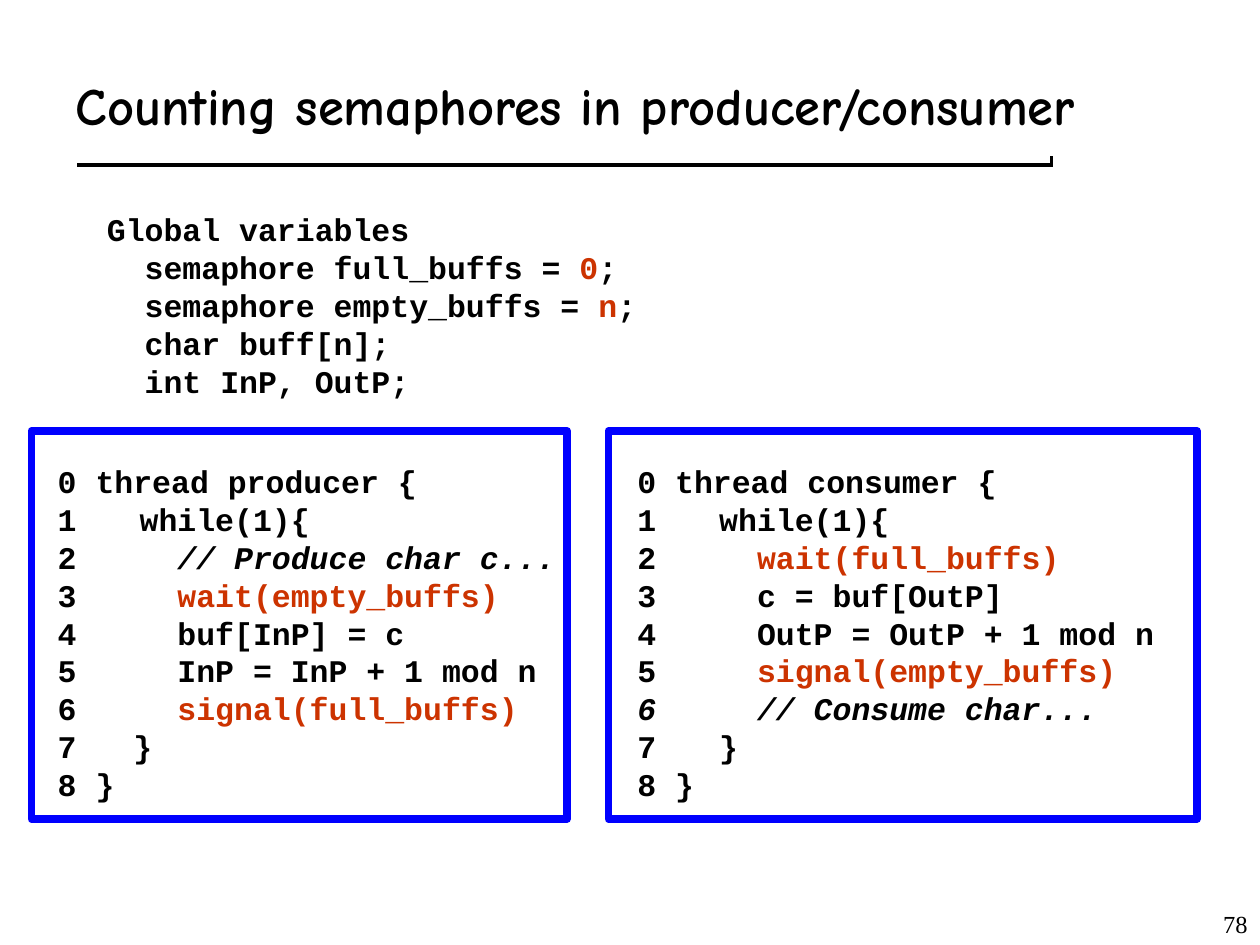
from lxml.etree import SubElement
from pptx import Presentation
from pptx.dml.color import RGBColor
from pptx.enum.shapes import MSO_CONNECTOR as Connector, MSO_SHAPE as Shape
from pptx.enum.text import MSO_ANCHOR as Anchor, MSO_AUTO_SIZE as AutoSize, PP_ALIGN as Align
from pptx.oxml.ns import qn
from pptx.util import Inches, Pt

BLACK = RGBColor(0x00, 0x00, 0x00)
WHITE = RGBColor(0xFF, 0xFF, 0xFF)
BLUE = RGBColor(0x00, 0x00, 0xFF)
RED = RGBColor(0xCC, 0x33, 0x00)

CODE_FONT = {"name": "Courier New", "size": Pt(18), "bold": True}
TITLE_FONT = {"name": "Comic Neue", "size": Pt(30), "bold": True}
NUMBER_FONT = {"name": "Times New Roman", "size": Pt(14), "bold": False}
PLAIN, CALL, COMMENT = (BLACK, False), (RED, False), (BLACK, True)


def add_run(paragraph, text, font_values, color=BLACK, italic=False):
    run = paragraph.add_run()
    run.text = text
    for key, value in font_values.items():
        setattr(run.font, key, value)
    run.font.italic = italic
    run.font.color.rgb = color


def add_code(slide, bounds, lines):
    frame = slide.shapes.add_textbox(*map(Inches, bounds)).text_frame
    frame.word_wrap = True
    frame.auto_size = AutoSize.SHAPE_TO_FIT_TEXT
    frame.margin_top, frame.margin_bottom = Inches(0.09), Inches(0.01)
    for index, (numbered, runs) in enumerate(lines):
        paragraph = frame.add_paragraph() if index else frame.paragraphs[0]
        paragraph.line_spacing = Pt(21.6)
        properties = paragraph._p.get_or_add_pPr()
        properties.set("marL", str(Inches(0.5)))
        properties.set("indent", str(-Inches(0.5)))
        if numbered:
            bullet_color = SubElement(properties, qn("a:buClr"))
            SubElement(bullet_color, qn("a:srgbClr"), val=str(BLACK))
            SubElement(properties, qn("a:buAutoNum"), type="arabicPlain")
        for text, style in runs:
            add_run(paragraph, text, CODE_FONT, *style)


prs = Presentation()
prs.slide_width, prs.slide_height = Inches(10), Inches(7.5)
slide = prs.slides.add_slide(prs.slide_layouts[5])

for left, top, color in [(0.61, 1.28, BLACK), (0.58, 1.25, WHITE)]:
    rule = slide.shapes.add_connector(
        Connector.STRAIGHT, Inches(left), Inches(top), Inches(left + 7.75), Inches(top))
    rule.line.color.rgb = color
    rule.line.width = Pt(6)
    SubElement(rule._element.spPr, qn("a:effectLst"))

title = slide.shapes.title
title.left, title.top, title.width, title.height = map(Inches, (0.5, 0.33, 9, 1))
title.text_frame.vertical_anchor = Anchor.MIDDLE
heading = title.text_frame.paragraphs[0]
heading.alignment = Align.LEFT
add_run(heading, "Counting semaphores in producer/consumer", TITLE_FONT)

for left, width in [(0.25, 4.25), (4.83, 4.67)]:
    thread_frame = slide.shapes.add_shape(
        Shape.RECTANGLE, Inches(left), Inches(3.42), Inches(width), Inches(3.08))
    thread_frame.shadow.inherit = False
    thread_frame.fill.solid()
    thread_frame.fill.fore_color.rgb = WHITE
    thread_frame.line.color.rgb = BLUE
    thread_frame.line.width = Pt(4.5)

add_code(slide, (0.36, 3.58, 4.39, 2.8), [
    (False, [("0 thread producer {", PLAIN)]),
    (True, [(" while(1){", PLAIN)]),
    (True, [("   ", PLAIN), ("// Produce char c...", COMMENT)]),
    (True, [("   ", PLAIN), ("wait(empty_buffs)", CALL)]),
    (True, [("   buf[InP] = c", PLAIN)]),
    (True, [("   InP = InP + 1 mod n", PLAIN)]),
    (True, [("   ", PLAIN), ("signal(full_buffs)", CALL)]),
    (False, [("7   }", PLAIN)]),
    (False, [("8 }", PLAIN)]),
])
add_code(slide, (4.96, 3.58, 4.89, 2.8), [
    (False, [("0 thread consumer {", PLAIN)]),
    (True, [(" while(1){", PLAIN)]),
    (True, [("   ", PLAIN), ("wait(full_buffs)", CALL)]),
    (True, [("   c = buf[OutP]", PLAIN)]),
    (True, [("   OutP = OutP + 1 mod n", PLAIN)]),
    (True, [("   ", PLAIN), ("signal(empty_buffs)", CALL)]),
    (True, [("   // Consume char...", COMMENT)]),
    (True, [(" }", PLAIN)]),
    (False, [("8 }", PLAIN)]),
])
add_code(slide, (0.75, 1.58, 6.33, 1.6), [
    (False, [("Global variables", PLAIN)]),
    (False, [("  semaphore full_buffs = ", PLAIN), ("0", CALL), (";", PLAIN)]),
    (False, [("  semaphore empty_buffs = ", PLAIN), ("n", CALL), (";", PLAIN)]),
    (False, [("  char buff[n];", PLAIN)]),
    (False, [("  int InP, OutP;", PLAIN)]),
])

page_frame = slide.shapes.add_textbox(
    Inches(7.92), Inches(7), Inches(2.08), Inches(0.5)).text_frame
page_frame.word_wrap = True
page_frame.vertical_anchor = Anchor.BOTTOM
page_number = page_frame.paragraphs[0]
page_number.alignment = Align.RIGHT
add_run(page_number, "78", NUMBER_FONT)

prs.save("out.pptx")
